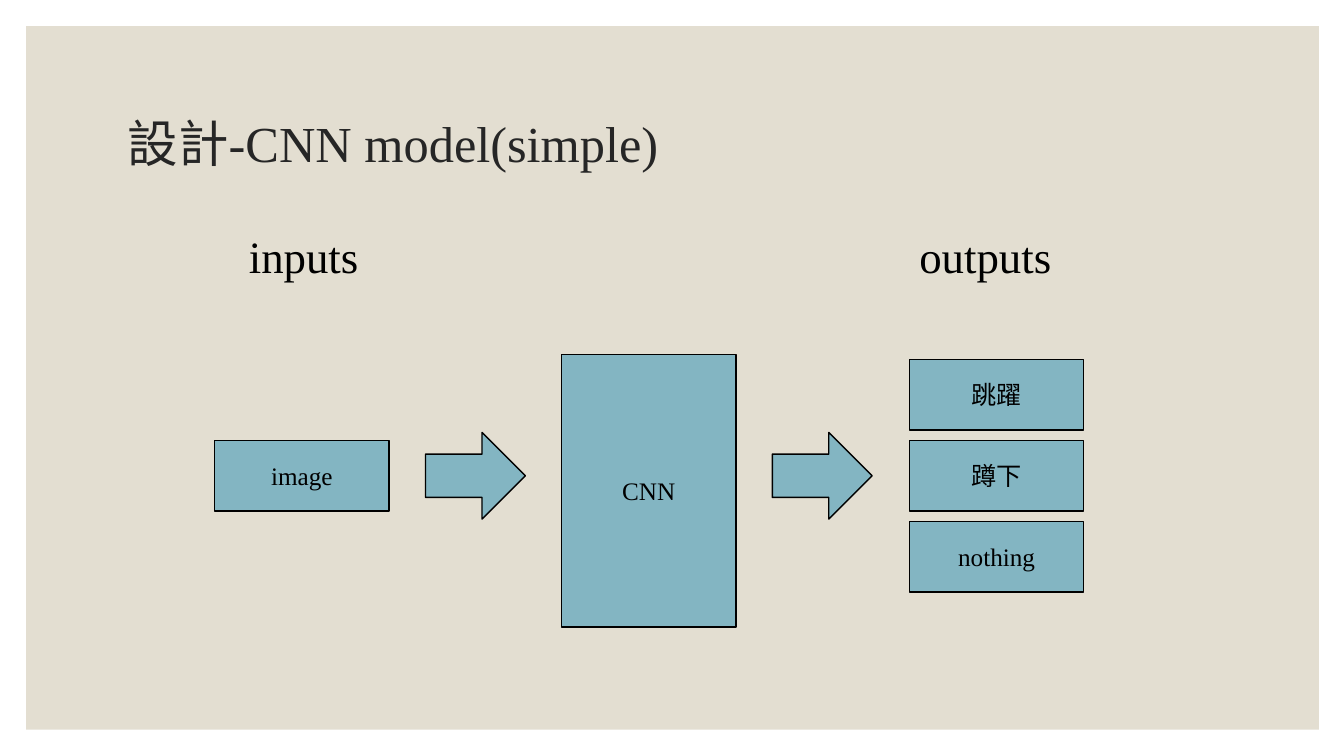
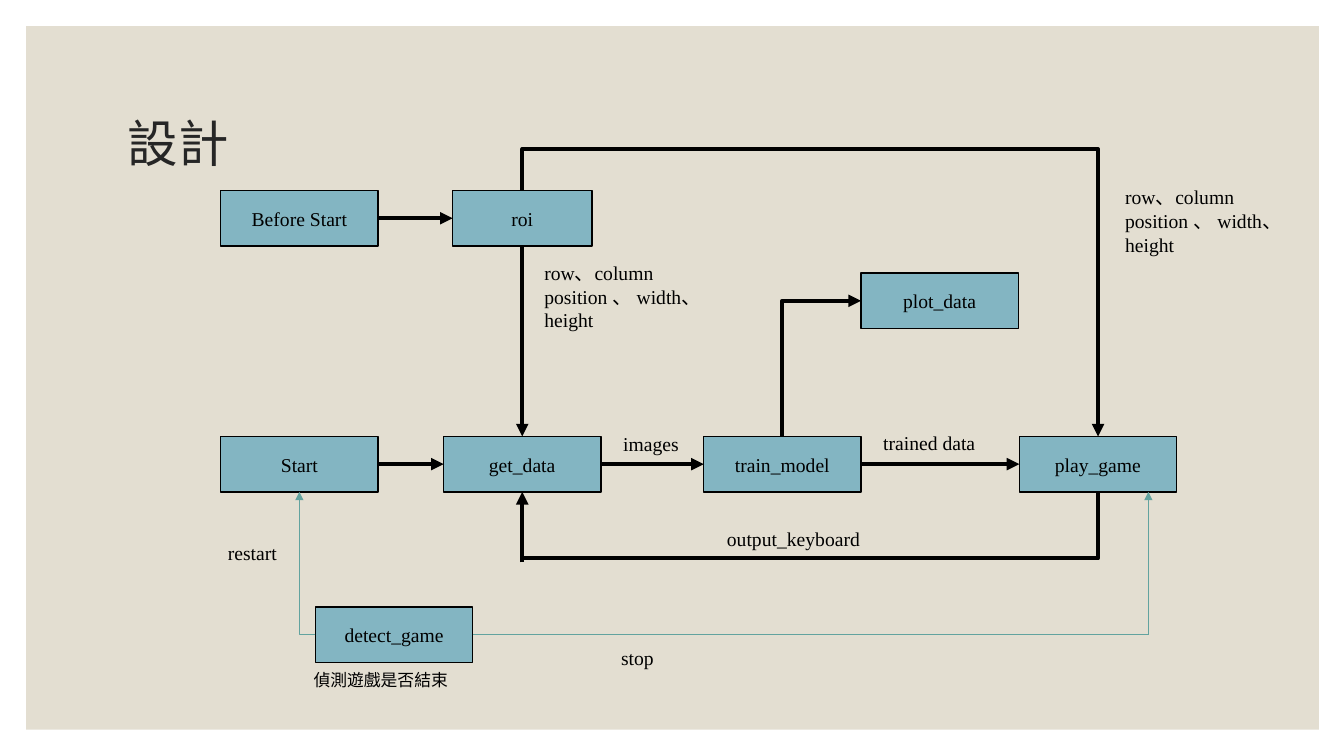
from collections import namedtuple

from lxml import etree
from pptx import Presentation
from pptx.dml.color import RGBColor
from pptx.enum.shapes import MSO_CONNECTOR, MSO_SHAPE
from pptx.enum.text import MSO_ANCHOR, PP_ALIGN
from pptx.oxml.ns import qn
from pptx.util import Inches, Pt

RECTANGLE, RIGHT_ARROW = MSO_SHAPE.RECTANGLE, MSO_SHAPE.RIGHT_ARROW
STRAIGHT, ELBOW = MSO_CONNECTOR.STRAIGHT, MSO_CONNECTOR.ELBOW
TOP, MIDDLE = MSO_ANCHOR.TOP, MSO_ANCHOR.MIDDLE
LEFT, CENTER = PP_ALIGN.LEFT, PP_ALIGN.CENTER

FONT = "Times New Roman"
PANEL, NODE, BLACK, TITLE, TEAL = "E3DED1", "83B5C2", "000000", "262626", "62A39F"
REGION = "row、column position 、 width、height"

Box = namedtuple("Box", "left top width height")


def color(hex_text):
    """Turn a hex string into a colour."""
    return RGBColor.from_string(hex_text)


def lengths(*values):
    """Turn numbers of inches into lengths."""
    return [Inches(value) for value in values]


def side(box, name):
    """Return the middle point of one side of a box."""
    across, down = {"left": (0, 0.5), "right": (1, 0.5),
                    "top": (0.5, 0), "bottom": (0.5, 1)}[name]
    return box.left + across * box.width, box.top + down * box.height


def write(shape, text, size, ink=BLACK, align=LEFT, anchor=TOP, spacing=None):
    """Put one formatted paragraph into a shape."""
    frame = shape.text_frame
    frame.word_wrap = True
    frame.vertical_anchor = anchor
    para = frame.paragraphs[0]
    para.alignment = align
    para.line_spacing = spacing
    span = para.add_run()
    span.text = text
    span.font.name = FONT
    span.font.size = Pt(size)
    span.font.color.rgb = color(ink)


def add_label(page, box, text, size=14, indent=0, **style):
    """Add a text box, its text indented from the left edge."""
    label = page.shapes.add_textbox(*lengths(*box))
    label.text_frame.margin_left = Inches(0.1 + indent)
    write(label, text, size, **style)


def add_block(page, box, text="", size=14, preset=RECTANGLE, fill=NODE, outline=BLACK):
    """Add a filled shape, with a thin outline and centred text where given."""
    block = page.shapes.add_shape(preset, *lengths(*box))
    block.shadow.inherit = False
    block.fill.solid()
    block.fill.fore_color.rgb = color(fill)
    if outline:
        block.line.color.rgb = color(outline)
        block.line.width = Pt(1)
    else:
        block.line.fill.background()
    if text:
        write(block, text, size, align=CENTER, anchor=MIDDLE)


def add_line(page, start, end, ink=BLACK, width=3, arrow="tailEnd", kind=STRAIGHT):
    """Add a connector, with an arrowhead at the named end if any."""
    line = page.shapes.add_connector(kind, *lengths(*start, *end))
    line.line.color.rgb = color(ink)
    line.line.width = Pt(width)
    if arrow:
        etree.SubElement(line.line._get_or_add_ln(), qn(f"a:{arrow}"), type="triangle")
    etree.SubElement(line._element.spPr, qn("a:effectLst"))
    return line


def add_corner(page, start, end, **style):
    """Add a connector that runs sideways, then turns once to its end."""
    line = add_line(page, start, end, kind=ELBOW, **style)
    line._element.spPr.find(qn("a:prstGeom")).set("prst", "bentConnector2")


def add_overpass(page, start, end, rise):
    """Add a connector that climbs, crosses over and comes down to its end."""
    middle_x, middle_y = (start[0] + end[0]) / 2, (start[1] + end[1]) / 2
    half_run, half_drop = (end[0] - start[0]) / 2, (end[1] - start[1]) / 2
    line = add_line(page, (middle_x + half_drop, middle_y - half_run),
                    (middle_x - half_drop, middle_y + half_run), kind=ELBOW)
    properties = line._element.spPr
    properties.find(qn("a:xfrm")).set("rot", str(270 * 60000))
    guides = properties.find(qn("a:prstGeom")).get_or_add_avLst()
    bend = round(-rise / (2 * half_drop) * 100000)
    etree.SubElement(guides, qn("a:gd"), name="adj1", fmla=f"val {bend}")


def add_page(deck, title):
    """Add a blank slide with the sand panel and its title."""
    page = deck.slides.add_slide(deck.slide_layouts[6])
    add_block(page, Box(0.26, 0.26, 12.82, 6.98), fill=PANEL, outline=None)
    add_label(page, Box(1.17, 0.7, 11, 1.5), title, 36,
              ink=TITLE, anchor=MIDDLE, spacing=0.9)
    return page


def draw_model(page, area):
    """Draw the path from the input image through the CNN to the outputs."""
    left, top, width, _ = area
    node_width, node_height, pitch = 1.73, 0.7, 0.805
    output_left = left + width - node_width
    row_top = top + 2.15
    add_label(page, Box(left + 0.24, top, node_width, 0.64), "inputs", 32)
    add_label(page, Box(output_left, top, node_width, 0.64), "outputs", 32)
    add_block(page, Box(left, row_top, node_width, node_height), "image", 18)
    add_block(page, Box(left + 3.44, top + 1.3, node_width, 2.7), "CNN", 18)
    for offset in (2.09, 5.53):
        add_block(page, Box(left + offset, top + 2.07, 0.99, 0.86), preset=RIGHT_ARROW)
    for index, output in enumerate(("跳躍", "蹲下", "nothing")):
        output_top = row_top + (index - 1) * pitch
        add_block(page, Box(output_left, output_top, node_width, node_height), output, 18)


def draw_flow(page, area):
    """Draw the modules of the program and the data passed between them."""
    left, top, _, _ = area

    def node(across, down, width=1.56):
        return Box(left + across, top + down, width, 0.55)

    nodes = {
        "Before Start": node(0, 0), "roi": node(2.3, 0, 1.38),
        "Start": node(0, 2.44), "get_data": node(2.21, 2.44),
        "train_model": node(4.79, 2.44), "play_game": node(7.92, 2.44),
        "plot_data": node(6.35, 0.82), "detect_game": node(0.94, 4.13),
    }
    for name, box in nodes.items():
        add_block(page, box, name)

    for source, target in (("Before Start", "roi"), ("Start", "get_data"),
                           ("get_data", "train_model"), ("train_model", "play_game")):
        add_line(page, side(nodes[source], "right"), side(nodes[target], "left"))
    get_data, play_game = nodes["get_data"], nodes["play_game"]
    detect_game = nodes["detect_game"]
    add_line(page, side(nodes["roi"], "bottom"), side(get_data, "top"))
    add_overpass(page, side(nodes["roi"], "top"), side(play_game, "top"), 0.41)
    add_corner(page, side(nodes["plot_data"], "left"),
               side(nodes["train_model"], "top"), arrow="headEnd")

    center, bottom = side(get_data, "bottom")
    add_corner(page, (center, bottom + 0.66), side(play_game, "bottom"), arrow=None)
    add_line(page, (center, bottom + 0.7), (center, bottom))

    thin = {"ink": TEAL, "width": 1}
    restart_x = side(nodes["Start"], "bottom")[0]
    add_corner(page, side(detect_game, "left"), (restart_x, bottom), **thin)
    stop_x = left + 9.2
    exit_x, exit_y = side(detect_game, "right")
    add_line(page, (exit_x, exit_y), (stop_x, exit_y), arrow=None, **thin)
    add_line(page, (stop_x, exit_y), (stop_x, bottom), **thin)

    for across, down in ((3.11, 0.65), (8.87, -0.1)):
        add_label(page, Box(left + across, top + down, 2.02, 0.57), REGION)
    for text, across, down, width, size in (
            ("images", 3.39, 2.35, 1.42, 14),
            ("trained data", 5.97, 2.34, 2.07, 14),
            ("output_keyboard", 4.42, 3.29, 2.07, 14),
            ("restart", -0.53, 3.43, 1.42, 14),
            ("stop", 3.37, 4.47, 1.42, 14),
            ("偵測遊戲是否結束", 0.32, 4.71, 2.79, 12)):
        add_label(page, Box(left + across, top + down, width, 0.34), text, size, indent=0.5)


def main():
    """Build the deck and save it."""
    deck = Presentation()
    deck.slide_width, deck.slide_height = lengths(13.33, 7.5)
    draw_model(add_page(deck, "設計-CNN model(simple)"), Box(2.13, 2.22, 8.62, 4))
    draw_flow(add_page(deck, "設計"), Box(2.19, 1.89, 10.89, 5.01))
    deck.save("out.pptx")


main()
